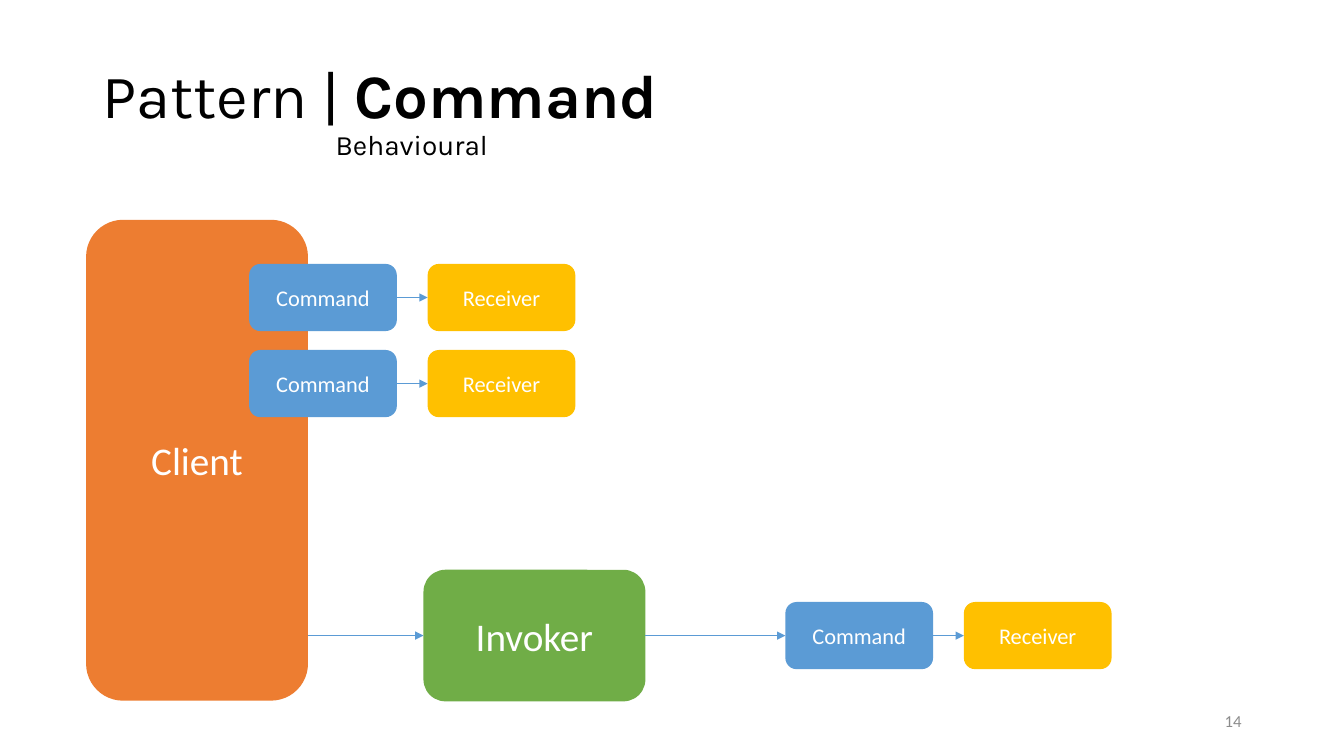
from lxml import etree
from pptx import Presentation
from pptx.dml.color import RGBColor
from pptx.enum import shapes, text
from pptx.oxml import ns
from pptx.util import Pt

BLUE, ORANGE, GREEN, GOLD = "5B9BD5", "ED7D31", "70AD47", "FFC000"

deck = Presentation()
deck.slide_width, deck.slide_height = Pt(960), Pt(540)
page = deck.slides.add_slide(deck.slide_layouts[5])


def add_box(label, left, top, width, height, color, size):
    box = page.shapes.add_shape(
        shapes.MSO_SHAPE.ROUNDED_RECTANGLE, Pt(left), Pt(top), Pt(width), Pt(height))
    box.shadow.inherit = False
    box.fill.solid()
    box.fill.fore_color.rgb = RGBColor.from_string(color)
    box.line.fill.background()
    box.text_frame.vertical_anchor = text.MSO_ANCHOR.MIDDLE
    para = box.text_frame.paragraphs[0]
    para.text = label
    para.alignment = text.PP_ALIGN.CENTER
    para.font.name = "Calibri"
    para.font.size = Pt(size)
    para.font.color.rgb = RGBColor.from_string("FFFFFF")
    return box


def add_arrow(source, target):
    middle = target.top + target.height // 2
    arrow = page.shapes.add_connector(
        shapes.MSO_CONNECTOR.STRAIGHT,
        source.left + source.width, middle, target.left, middle)
    arrow.line.color.rgb = RGBColor.from_string(BLUE)
    arrow.line.width = Pt(0.5)
    etree.SubElement(arrow.line._get_or_add_ln(), ns.qn("a:tailEnd"), type="triangle")
    etree.SubElement(arrow._element.spPr, ns.qn("a:effectLst"))


title = page.shapes.title
title.left, title.top, title.width, title.height = Pt(66), Pt(28.8), Pt(828), Pt(104.4)
title.text_frame.vertical_anchor = text.MSO_ANCHOR.MIDDLE
title.text_frame.word_wrap = True
para = title.text_frame.paragraphs[0]
para.alignment = text.PP_ALIGN.LEFT
para.line_spacing = 0.9
para.font.name = "Karla"
para.font.color.rgb = RGBColor.from_string("000000")
tabs = etree.SubElement(para._p.get_or_add_pPr(), ns.qn("a:tabLst"))
etree.SubElement(tabs, ns.qn("a:tab"), pos=str(Pt(166.5)), algn="l")
para._p.pPr.find(ns.qn("a:defRPr")).addprevious(tabs)
for words, size, bold in [("Pattern | ", 44, False), ("Command", 44, True),
                          ("\tBehavioural", 20, False)]:
    if size == 20:
        para.add_line_break()
    span = para.add_run()
    span.text = words
    span.font.name = "Karla"
    span.font.size = Pt(size)
    span.font.bold = bold

client = add_box("Client", 61.5, 157, 158.5, 343.5, ORANGE, 28)
invoker = add_box("Invoker", 302.5, 407, 158.5, 94, GREEN, 28)
add_arrow(client, invoker)

for left, top in [(178, 188.5), (178, 250), (561, 430)]:
    command = add_box("Command", left, top, 105.5, 48, BLUE, 16)
    receiver = add_box("Receiver", left + 127.5, top, 105.5, 48, GOLD, 16)
    add_arrow(command, receiver)
add_arrow(invoker, command)

number = page.shapes.add_textbox(Pt(678), Pt(500.5), Pt(216), Pt(28.8))
number.text_frame.word_wrap = True
number.text_frame.vertical_anchor = text.MSO_ANCHOR.MIDDLE
para = number.text_frame.paragraphs[0]
para.text = "14"
para.alignment = text.PP_ALIGN.RIGHT
para.font.name = "Calibri"
para.font.size = Pt(12)
para.font.color.rgb = RGBColor.from_string("8C8C8C")

deck.save("out.pptx")
